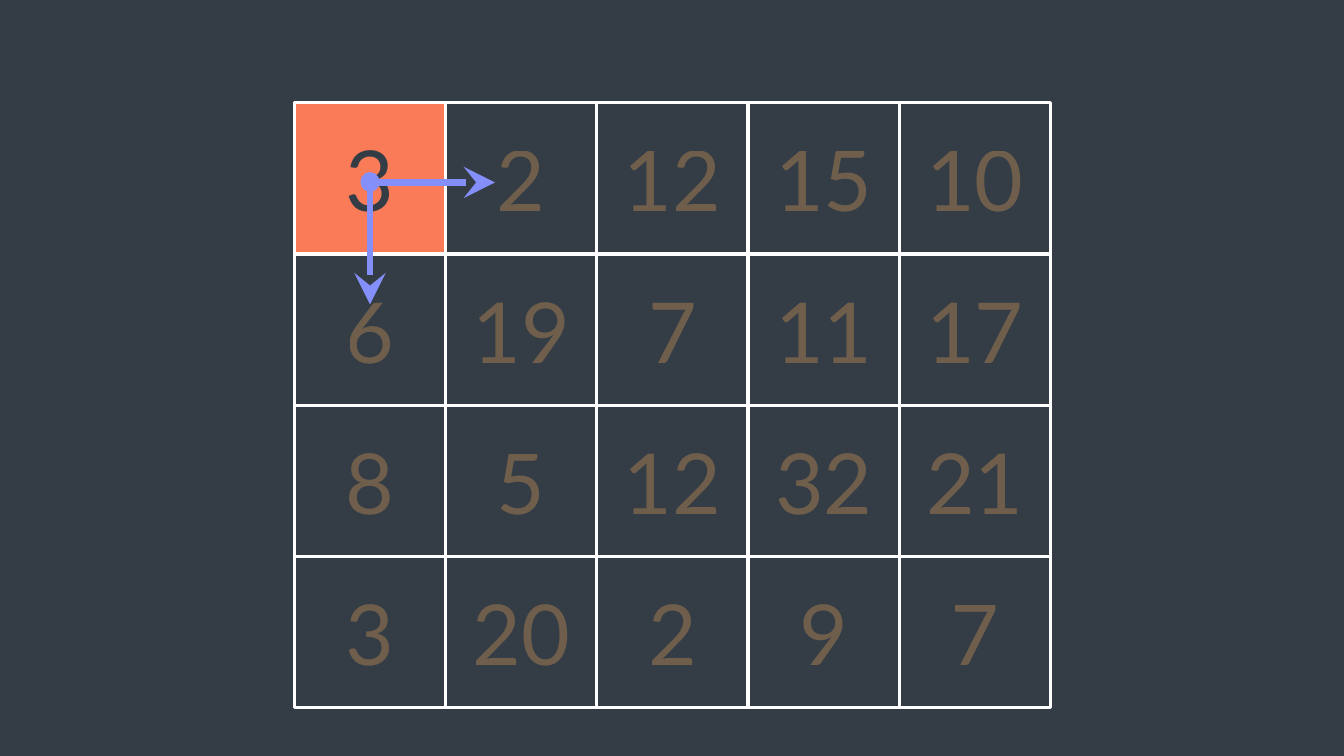
import pptx
import pptx.dml.color
import pptx.enum.shapes
import pptx.enum.text
import pptx.oxml.ns
import pptx.util
from lxml import etree

Inches = pptx.util.Inches

# Content
ROWS = [
    [3, 2, 12, 15, 10],
    [6, 19, 7, 11, 17],
    [8, 5, 12, 32, 21],
    [3, 20, 2, 9, 7],
]
CURRENT = (0, 0)
ARROWS = [  # start and end in inches
    ((3.67, 1.8), (3.67, 3.02)),
    ((3.67, 1.81), (4.91, 1.81)),
]

# Look
LEFT, TOP, CELL = 2.92, 1.02, 1.5
DARK, ORANGE, WHITE = "343D46", "F97B57", "FFFFFF"
NUMBER, ARROW = "F9AD57", "858FFA"
FADED_PERCENT = 30


def paint(fill, color):
    fill.solid()
    fill.fore_color.rgb = pptx.dml.color.RGBColor.from_string(color)


def add_child(parent, tag, **attributes):
    return etree.SubElement(parent, pptx.oxml.ns.qn(tag), attributes)


def add_cell(page, row, column, number):
    current = (row, column) == CURRENT
    box = page.shapes.add_shape(
        pptx.enum.shapes.MSO_SHAPE.RECTANGLE,
        Inches(LEFT + column * CELL), Inches(TOP + row * CELL),
        Inches(CELL), Inches(CELL))
    box.shadow.inherit = False
    paint(box.fill, ORANGE if current else DARK)
    paint(box.line.fill, WHITE)
    box.line.width = pptx.util.Pt(2.25)

    box.text_frame.vertical_anchor = pptx.enum.text.MSO_ANCHOR.MIDDLE
    para = box.text_frame.paragraphs[0]
    para.text = str(number)
    para.alignment = pptx.enum.text.PP_ALIGN.CENTER
    para.font.name = "Lato"
    para.font.size = pptx.util.Pt(60)
    paint(para.font.fill, DARK if current else NUMBER)
    if not current:
        color = para._p.find(".//" + pptx.oxml.ns.qn("a:srgbClr"))
        add_child(color, "a:alpha", val=str(FADED_PERCENT * 1000))


def add_arrow(page, start, end):
    arrow = page.shapes.add_connector(
        pptx.enum.shapes.MSO_CONNECTOR.STRAIGHT,
        *[Inches(value) for value in start + end])
    paint(arrow.line.fill, ARROW)
    arrow.line.width = pptx.util.Pt(4.5)
    line = arrow.line._get_or_add_ln()
    add_child(line, "a:headEnd", type="oval", w="med", len="med")
    add_child(line, "a:tailEnd", type="stealth", w="lg", len="lg")
    add_child(arrow._element.spPr, "a:effectLst")


def main():
    deck = pptx.Presentation()
    deck.slide_width, deck.slide_height = Inches(13.33), Inches(7.5)
    page = deck.slides.add_slide(deck.slide_layouts[6])
    paint(page.background.fill, DARK)

    # Grid of numbers
    for row, numbers in enumerate(ROWS):
        for column, number in enumerate(numbers):
            add_cell(page, row, column, number)

    # Moves from the current cell
    for start, end in ARROWS:
        add_arrow(page, start, end)

    deck.save("out.pptx")


if __name__ == "__main__":
    main()
